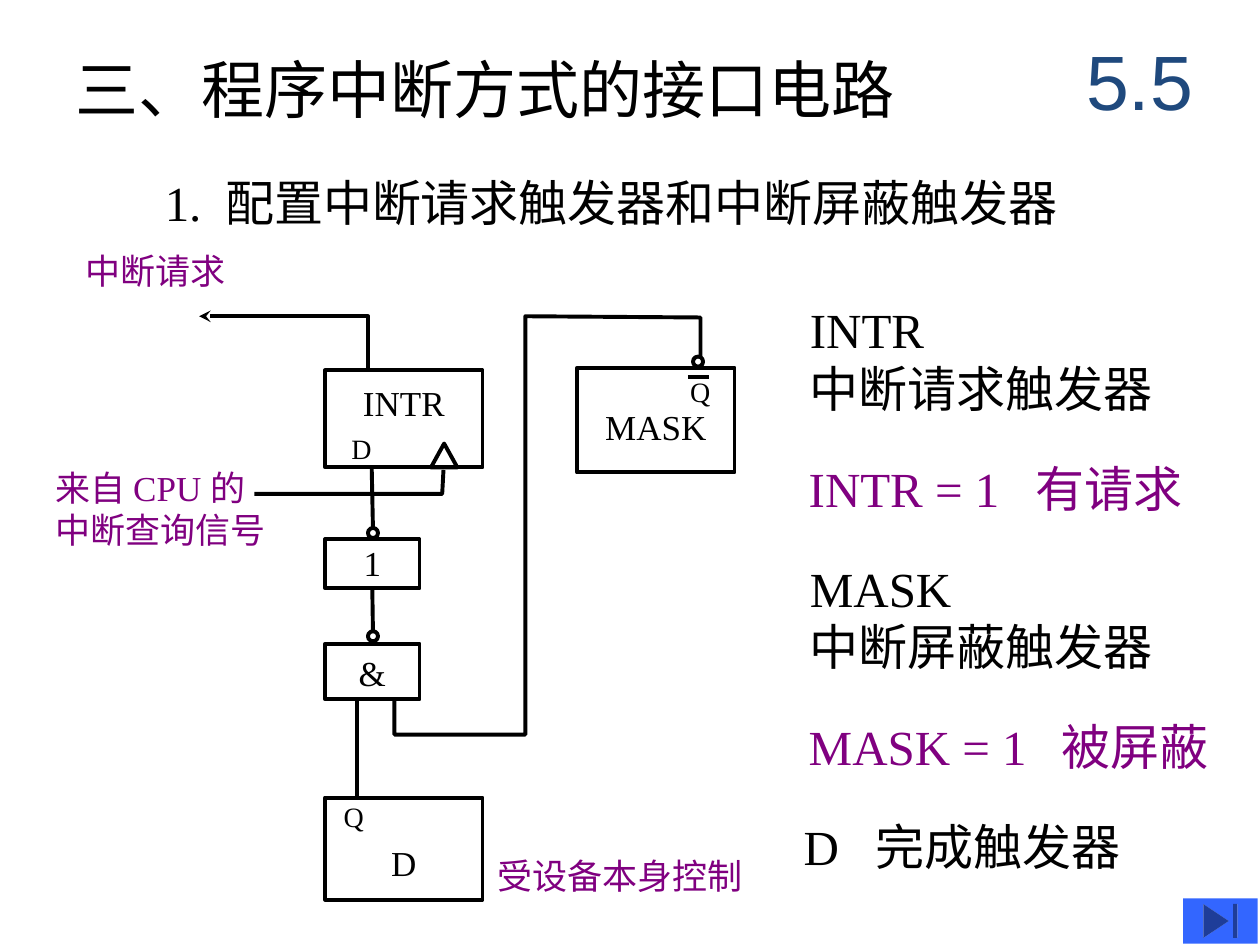
from lxml import etree
from pptx import Presentation
from pptx.dml.color import RGBColor
from pptx.enum.shapes import MSO_CONNECTOR as Conn, MSO_SHAPE as Kind
from pptx.enum.text import MSO_ANCHOR as Anchor, PP_ALIGN as Align
from pptx.oxml.ns import qn
from pptx.util import Pt

BLACK, PURPLE, NAVY, BLUE = "000000", "800080", "1F497D", "3366FF"
SERIF, SANS = "Times New Roman", "Arial"


def rgb(code):
    return RGBColor.from_string(code)


class Board:
    """Style and current slide; lengths are px, 100 to the inch."""
    scale = 9144
    weight = Pt(2.25)

    def __init__(self, deck):
        deck.slide_width, deck.slide_height = self.emu(1000, 750)
        self.slide = deck.slides.add_slide(deck.slide_layouts[5])
        self.shapes = self.slide.shapes

    def emu(self, *sizes):
        return [size * self.scale for size in sizes]

    def put(self, frame, text, size, color=BLACK, font=SERIF,
            align=Align.LEFT, anchor=Anchor.TOP, tab=None):
        frame.text = text
        frame.word_wrap = True
        frame.vertical_anchor = anchor
        for para in frame.paragraphs:
            para.alignment = align
            if tab:
                props = para._p.get_or_add_pPr()
                stops = etree.SubElement(props, qn("a:tabLst"))
                etree.SubElement(stops, qn("a:tab"),
                                 pos=str(tab * self.scale), algn="l")
            for run in para.runs:
                run.font.size = Pt(size)
                run.font.name = font
                run.font.color.rgb = rgb(color)

    def title(self, x, y, w, h, text, size):
        head = self.shapes.title
        head.left, head.top, head.width, head.height = self.emu(x, y, w, h)
        self.put(head.text_frame, text, size)

    def label(self, x, y, w, h, text, size, color=BLACK, **style):
        box = self.shapes.add_textbox(*self.emu(x, y, w, h))
        self.put(box.text_frame, text, size, color, **style)

    def ink(self, item):
        item.line.color.rgb = rgb(BLACK)
        item.line.width = self.weight

    def shape(self, kind, x, y, w, h):
        item = self.shapes.add_shape(kind, *self.emu(x, y, w, h))
        item.shadow.inherit = False
        item.fill.background()
        self.ink(item)
        return item

    def block(self, x, y, w, h, text, pad):
        """Rectangle with centred text, pad px below its top edge."""
        item = self.shape(Kind.RECTANGLE, x, y, w, h)
        frame = item.text_frame
        frame.margin_left = frame.margin_right = frame.margin_bottom = 0
        frame.margin_top = pad * self.scale
        self.put(frame, text, 20, align=Align.CENTER)
        return item

    def dot(self, x, y):
        return self.shape(Kind.OVAL, x - 4, y - 4, 8, 8)

    def line(self, x1, y1, x2, y2, start=None, end=None):
        item = self.shapes.add_connector(Conn.STRAIGHT,
                                         *self.emu(x1, y1, x2, y2))
        self.ink(item)
        etree.SubElement(item._element.spPr, qn("a:effectLst"))
        if start:
            item.begin_connect(start, 2)
        if end:
            item.end_connect(end, 0)

    def wire(self, first, *rest, arrow=False):
        route = self.shapes.build_freeform(*first, scale=self.scale)
        route.add_line_segments(rest, close=False)
        item = route.convert_to_shape()
        item.shadow.inherit = False
        item.fill.background()
        self.ink(item)
        if arrow:
            stroke = item._element.spPr.find(qn("a:ln"))
            etree.SubElement(stroke, qn("a:tailEnd"), type="stealth")

    def button(self, x, y, w, h):
        item = self.shape(Kind.ACTION_BUTTON_END, x, y, w, h)
        item.fill.solid()
        item.fill.fore_color.rgb = rgb(BLUE)
        item.line.fill.background()


def main():
    deck = Presentation()
    board = Board(deck)

    # Headings
    board.title(50, 35, 690, 70, "三、程序中断方式的接口电路", 36)
    board.label(842, 17, 125, 92, "5.5", 44, NAVY, font=SANS,
                align=Align.CENTER, anchor=Anchor.MIDDLE)
    board.label(121, 132, 750, 57, "1.\t配置中断请求触发器和中断屏蔽触发器",
                28, tab=48)

    # Flip-flops and gates
    board.block(258, 294, 125, 77, "INTR", 9)
    board.block(458, 292, 125, 83, "MASK", 30)
    board.block(258, 633, 125, 81, "D", 35)
    buffer = board.block(258, 428, 75, 39, "1", 2)
    board.block(258, 511, 75, 44, "&", 6)
    board.shape(Kind.ISOSCELES_TRIANGLE, 342, 352, 21, 19)

    # Inverting dots
    top = board.dot(296, 423)
    low = board.dot(296, 505)
    board.dot(554, 287)

    # Pin names
    for x, y, name in ((269, 338, "D"), (538, 292, "Q"), (263, 630, "Q")):
        board.label(x, y, 40, 37, name, 16)
    board.line(546, 299, 563, 299)

    # Wires
    board.line(295, 371, 296, 419, end=top)
    board.line(296, 467, 296, 501, start=buffer, end=low)
    board.line(283, 556, 283, 633)
    board.wire((202, 392), (351, 392), (352, 373))
    board.wire((313, 556), (313, 583), (417, 583), (417, 251),
               (556, 252), (556, 284))
    board.wire((292, 293), (292, 251), (158, 251), arrow=True)

    # Signal names
    board.label(58, 193, 133, 44, "中断请求", 20, PURPLE)
    board.label(34, 365, 200, 77, "来自 CPU 的\n中断查询信号", 20, PURPLE)
    board.label(385, 673, 225, 44, "受设备本身控制", 20, PURPLE)

    # Legend: a name and its meaning, then what the value 1 means
    for y, name, use, state, tab in (
            (233, "INTR", "中断请求触发器", "有请求", 180),
            (438, "MASK", "中断屏蔽触发器", "被屏蔽", 201)):
        board.label(633, y, 300, 104, f"{name}\n{use}", 28)
        board.label(632, y + 126, 368, 57, f"{name} = 1\t{state}", 28,
                    PURPLE, tab=tab)
    board.label(628, 643, 290, 57, "D\t完成触发器", 28, tab=57)

    # Button to the last slide
    board.button(939, 713, 59, 36)

    deck.save("out.pptx")


if __name__ == "__main__":
    main()
